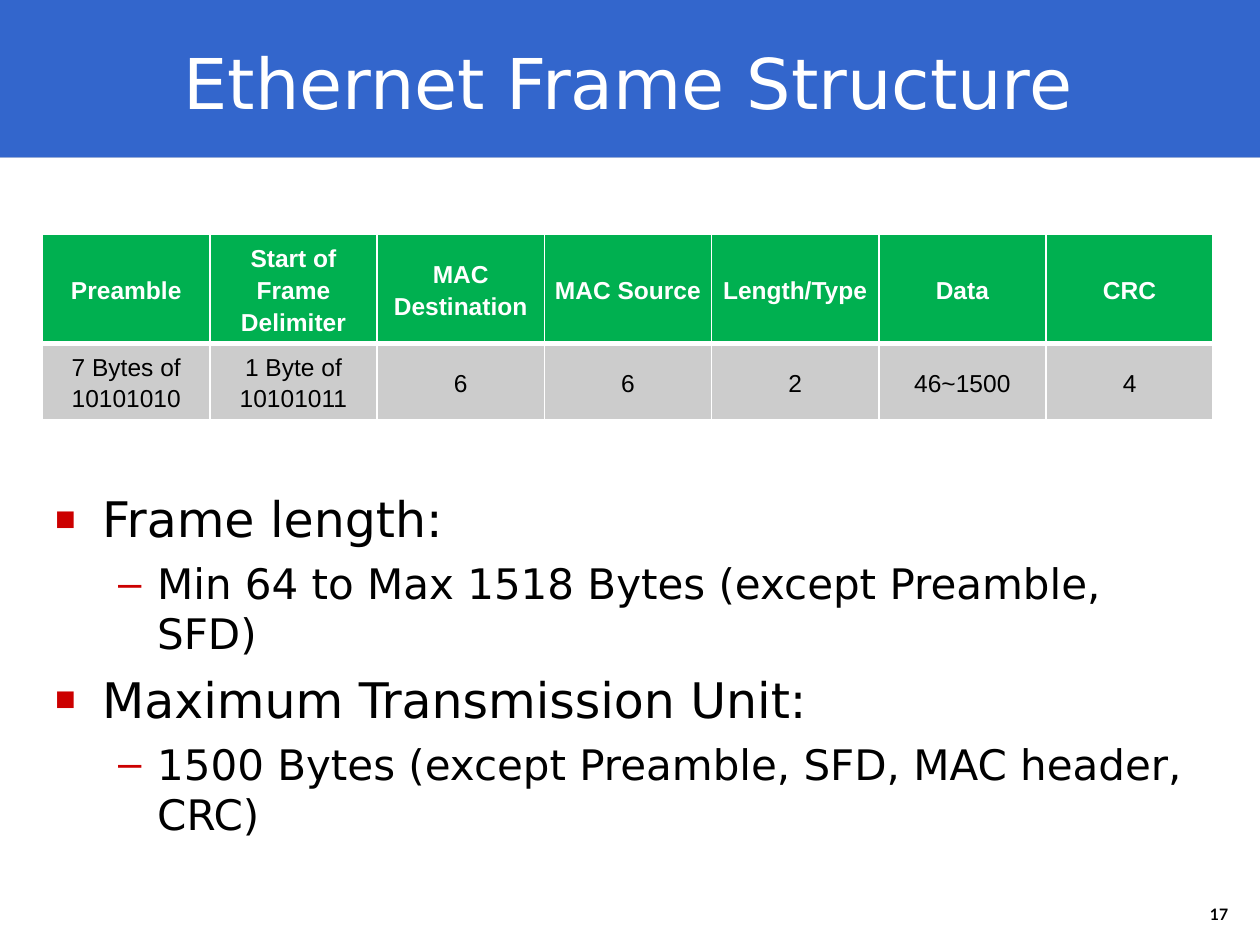
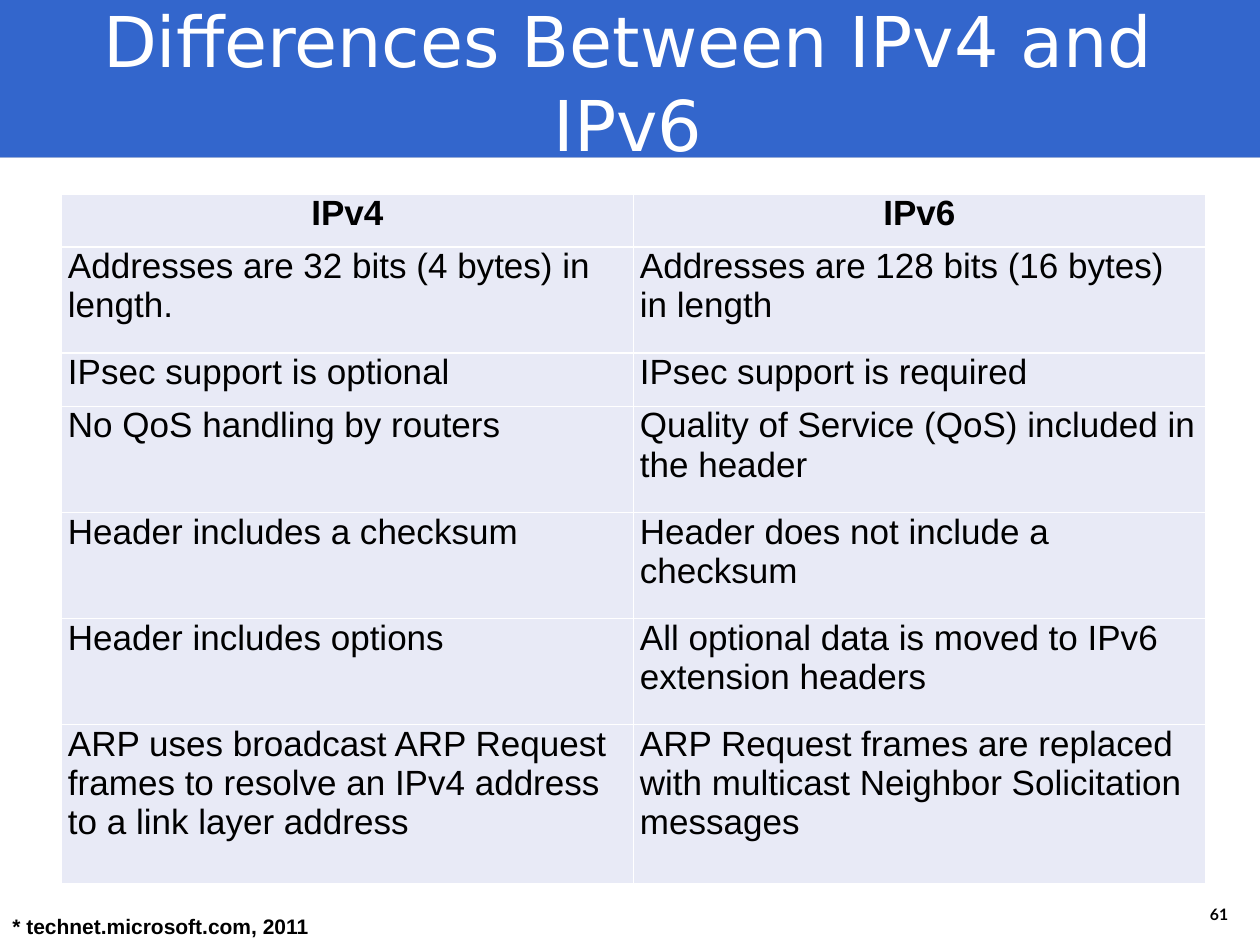
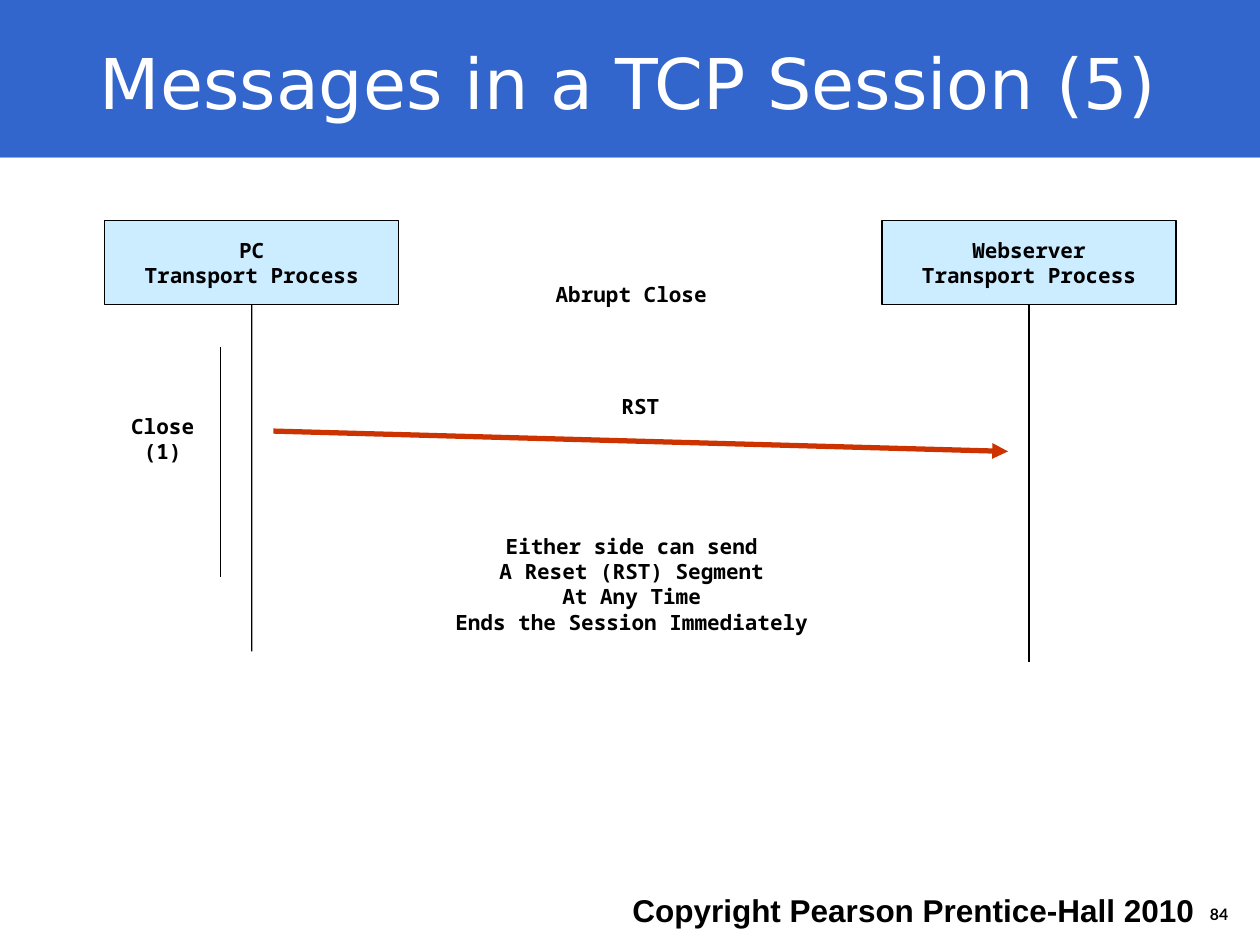
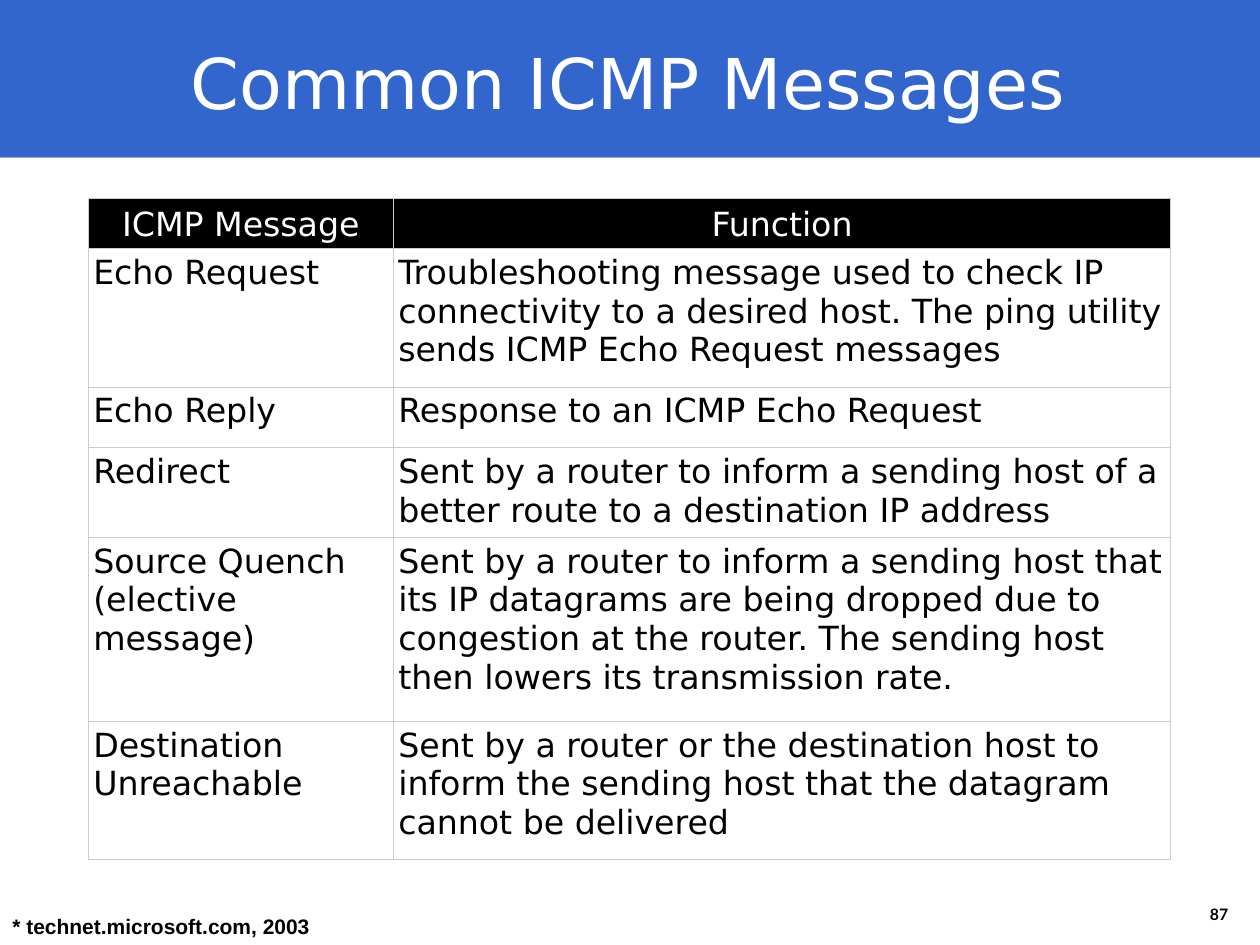
from lxml.etree import SubElement
from pptx import Presentation
from pptx.dml.color import RGBColor
from pptx.enum.shapes import MSO_CONNECTOR as LINK, MSO_SHAPE as SHAPE
from pptx.enum.text import MSO_ANCHOR as ANCHOR, PP_ALIGN as ALIGN
from pptx.oxml.ns import qn
from pptx.util import Cm, Pt

BLUE, WHITE, BLACK, GRAY = "3366CC", "FFFFFF", "000000", "B2B2B2"
RED, ARROW_RED, SKY = "CC0000", "CC3300", "CCECFF"
GREEN, SILVER, LAVENDER = "00B050", "CCCCCC", "E8EAF6"
SANS, ARIAL, MONO, LATO = "DejaVu Sans", "Arial", "Noto Sans Mono", "Lato"
LABEL = dict(font=MONO, size=12, bold=True, align=ALIGN.CENTER, spacing=Pt(14.5))
BULLETS = [
    dict(size=28, before=6.5, left=0.95, hang=0.95, mark="■", percent=70),
    dict(size=24, before=5.6, left=2.06, hang=0.79, mark="–", percent=100),
]


def rgb(code):
    return RGBColor.from_string(code)


def cms(*lengths):
    return [Cm(length) for length in lengths]


def write(paragraph, text, font=ARIAL, size=12, color=BLACK, bold=False,
          align=ALIGN.LEFT, spacing=None, before=0):
    run = paragraph.add_run()
    run.text = text
    run.font.name, run.font.size, run.font.bold = font, Pt(size), bold
    run.font.color.rgb = rgb(color)
    paragraph.alignment = align
    paragraph.space_before = Pt(before)
    paragraph.space_after = Pt(0)
    if spacing:
        paragraph.line_spacing = spacing


def write_lines(frame, text, **style):
    for index, line in enumerate(text.split("\n")):
        paragraph = frame.add_paragraph() if index else frame.paragraphs[0]
        write(paragraph, line, **style)


def add_bullet(paragraph, left, hang, mark, percent):
    props = paragraph._p.get_or_add_pPr()
    props.set("marL", str(Cm(left)))
    props.set("indent", str(-Cm(hang)))
    color = SubElement(props, qn("a:buClr"))
    SubElement(color, qn("a:srgbClr"), val=RED)
    SubElement(props, qn("a:buSzPct"), val=str(percent * 1000))
    SubElement(props, qn("a:buFont"), typeface=ARIAL)
    SubElement(props, qn("a:buChar"), char=mark)


def add_borders(cell, color, widths):
    props = cell._tc.get_or_add_tcPr()
    for side, width in zip("LRTB", widths):
        edge = SubElement(props, qn(f"a:ln{side}"), w=str(Pt(width)))
        fill = SubElement(edge, qn("a:solidFill"))
        SubElement(fill, qn("a:srgbClr"), val=color)


class Deck:
    def __init__(self):
        self.show = Presentation()
        self.show.slide_width, self.show.slide_height = cms(25.4, 19.05)
        self.slide = None

    def start(self, title, number):
        self.slide = self.show.slides.add_slide(self.show.slide_layouts[6])
        background = self.slide.background.fill
        background.solid()
        background.fore_color.rgb = rgb(GRAY)
        self.rect((0, 0, 25.4, 3.18), BLUE)
        self.rect((0, 3.18, 25.4, 15.87), WHITE)
        self.text((22.17, 17.96, 2.84, 0.79), str(number), anchor=ANCHOR.BOTTOM,
                  font=LATO, size=9, bold=True, align=ALIGN.RIGHT)
        self.text((0.86, 0.15, 23.6, 2.97), title, anchor=ANCHOR.MIDDLE,
                  font=SANS, size=40, color=WHITE, align=ALIGN.CENTER)

    def rect(self, place, fill, text="", border=None, **style):
        box = self.slide.shapes.add_shape(SHAPE.RECTANGLE, *cms(*place))
        box.shadow.inherit = False
        box.fill.solid()
        box.fill.fore_color.rgb = rgb(fill)
        if border:
            box.line.color.rgb = rgb(border)
            box.line.width = Pt(0.75)
        else:
            box.line.fill.background()
        if text:
            box.text_frame.word_wrap = False
            box.text_frame.vertical_anchor = ANCHOR.MIDDLE
            write_lines(box.text_frame, text, **style)
        return box

    def frame(self, place, anchor=ANCHOR.TOP, wrap=True):
        frame = self.slide.shapes.add_textbox(*cms(*place)).text_frame
        frame.word_wrap = wrap
        frame.vertical_anchor = anchor
        return frame

    def text(self, place, text, anchor=ANCHOR.TOP, wrap=True, **style):
        write_lines(self.frame(place, anchor, wrap), text, **style)

    def label(self, place, text):
        self.text(place, text, wrap=False, **LABEL)

    def citation(self, text):
        self.text((0, 18.29, 6.53, 0.76), text, wrap=False, bold=True)

    def bullets(self, place, items):
        frame = self.frame(place)
        for index, (level, text) in enumerate(items):
            paragraph = frame.add_paragraph() if index else frame.paragraphs[0]
            look = BULLETS[level]
            paragraph.level = level
            add_bullet(paragraph, look["left"], look["hang"], look["mark"], look["percent"])
            write(paragraph, text, font=SANS, size=look["size"],
                  before=look["before"] if index else 0)

    def line(self, start, end, color=BLACK, width=0.75, arrow=False, below=None):
        link = self.slide.shapes.add_connector(LINK.STRAIGHT, *cms(*start, *end))
        if below is not None:
            link.begin_connect(below, 2)
        link.line.color.rgb = rgb(color)
        link.line.width = Pt(width)
        if arrow:
            SubElement(link.line._get_or_add_ln(), qn("a:tailEnd"), type="triangle")
        SubElement(link._element.spPr, qn("a:effectLst"))

    def table(self, corner, columns, heights, rows, fills, border, margins,
              head, body, anchors=(ANCHOR.TOP, ANCHOR.TOP), divider=None):
        size = sum(columns), sum(heights)
        table = self.slide.shapes.add_table(
            len(rows), len(columns), *cms(*corner, *size)).table
        table.first_row = table.horz_banding = False
        for column, width in zip(table.columns, columns):
            column.width = Cm(width)
        color, thin = border
        divider = divider or thin
        for r, (row, height) in enumerate(zip(rows, heights)):
            table.rows[r].height = Cm(height)
            part = min(r, 1)
            top = divider if r == 1 else thin
            bottom = divider if r == 0 else thin
            for c, text in enumerate(row):
                cell = table.cell(r, c)
                add_borders(cell, color, (thin, thin, top, bottom))
                cell.fill.solid()
                cell.fill.fore_color.rgb = rgb(fills[part])
                cell.margin_left = cell.margin_right = Cm(margins[0])
                cell.margin_top = cell.margin_bottom = Cm(margins[1])
                cell.vertical_anchor = anchors[part]
                write_lines(cell.text_frame, text, **(body if r else head))


def ethernet_frame(deck):
    deck.start("Ethernet Frame Structure", 17)
    deck.bullets((0.86, 9.73, 23.6, 7.24), [
        (0, "Frame length:"),
        (1, "Min 64 to Max 1518 Bytes (except Preamble, SFD)"),
        (0, "Maximum Transmission Unit:"),
        (1, "1500 Bytes (except Preamble, SFD, MAC header, CRC)"),
    ])
    fields = [
        ("Preamble", "7 Bytes of 10101010"),
        ("Start of Frame Delimiter", "1 Byte of 10101011"),
        ("MAC Destination", "6"),
        ("MAC Source", "6"),
        ("Length/Type", "2"),
        ("Data", "46~1500"),
        ("CRC", "4"),
    ]
    style = dict(size=14, align=ALIGN.CENTER, spacing=1.15)
    deck.table((0.86, 4.72), [23.6 / len(fields)] * len(fields), [2.21, 1.52],
               list(zip(*fields)), (GREEN, SILVER), (WHITE, 1), (0.08, 0.08),
               head=dict(style, color=WHITE, bold=True), body=style,
               anchors=(ANCHOR.MIDDLE, ANCHOR.MIDDLE), divider=3)


def ip_versions(deck):
    deck.start("Differences Between IPv4 and IPv6", 61)
    rows = [
        ("IPv4", "IPv6"),
        ("Addresses are 32 bits (4 bytes) in length.",
         "Addresses are 128 bits (16 bytes) in length"),
        ("IPsec support is optional", "IPsec support is required"),
        ("No QoS handling by routers",
         "Quality of Service (QoS) included in the header"),
        ("Header includes a checksum", "Header does not include a checksum"),
        ("Header includes options",
         "All optional data is moved to IPv6 extension headers"),
        ("ARP uses broadcast ARP Request frames to resolve an IPv4 address "
         "to a link layer address",
         "ARP Request frames are replaced with multicast Neighbor Solicitation messages"),
    ]
    heights = [1.07 * lines for lines in (1, 2, 1, 2, 2, 2, 3)]
    deck.table((1.24, 3.91), [11.53] * 2, heights, rows, (LAVENDER, LAVENDER),
               (WHITE, 1), (0.13, 0),
               head=dict(size=20, bold=True, align=ALIGN.CENTER), body=dict(size=20))
    deck.citation("* technet.microsoft.com, 2011")


def tcp_reset(deck):
    deck.start("Messages in a TCP Session (5)", 84)
    deck.text((12.5, 17.83, 12.07, 1.02), "Copyright Pearson Prentice-Hall 2010",
              size=18, bold=True)
    for host, left, lifeline_end in (("PC", 2.11, 13.13), ("Webserver", 17.78, 13.34)):
        process = deck.rect((left, 4.45, 5.93, 1.69), SKY,
                            f"{host}\nTransport Process", border=BLACK, **LABEL)
        middle = left + 5.93 / 2
        deck.line((middle, 6.14), (middle, lifeline_end), below=process)
    deck.line((5.51, 8.69), (20.32, 9.1), ARROW_RED, 3, arrow=True)
    deck.line((4.45, 6.99), (4.45, 11.63))
    deck.label((2.16, 8.2, 2.24, 1.8), "Close\n(1)")
    deck.label((12.07, 7.8, 1.68, 1.02), "RST")
    deck.label((10.44, 5.54, 4.57, 1.02), "Abrupt Close")
    deck.label((7.87, 10.62, 9.73, 3.33),
               "Either side can send\nA Reset (RST) Segment\nAt Any Time\n"
               "Ends the Session Immediately")


def icmp_messages(deck):
    deck.start("Common ICMP Messages", 87)
    rows = [
        ("ICMP Message", "Function"),
        ("Echo Request",
         "Troubleshooting message used to check IP connectivity to a desired host. "
         "The ping utility sends ICMP Echo Request messages"),
        ("Echo Reply", "Response to an ICMP Echo Request"),
        ("Redirect",
         "Sent by a router to inform a sending host of a better route "
         "to a destination IP address"),
        ("Source Quench\n(elective message)",
         "Sent by a router to inform a sending host that its IP datagrams are being "
         "dropped due to congestion at the router. The sending host then lowers "
         "its transmission rate."),
        ("Destination Unreachable",
         "Sent by a router or the destination host to inform the sending host "
         "that the datagram cannot be delivered"),
    ]
    style = dict(font=SANS, size=19)
    deck.table((1.78, 4.01), [6.15, 15.67], [0.99, 2.79, 1.22, 1.78, 3.71, 2.79],
               rows, (BLACK, WHITE), (SILVER, 0.75), (0.1, 0.1),
               head=dict(style, color=WHITE, align=ALIGN.CENTER), body=style,
               anchors=(ANCHOR.BOTTOM, ANCHOR.TOP))
    deck.citation("* technet.microsoft.com, 2003")


def main():
    deck = Deck()
    for build in (ethernet_frame, ip_versions, tcp_reset, icmp_messages):
        build(deck)
    deck.show.save("out.pptx")


if __name__ == "__main__":
    main()
